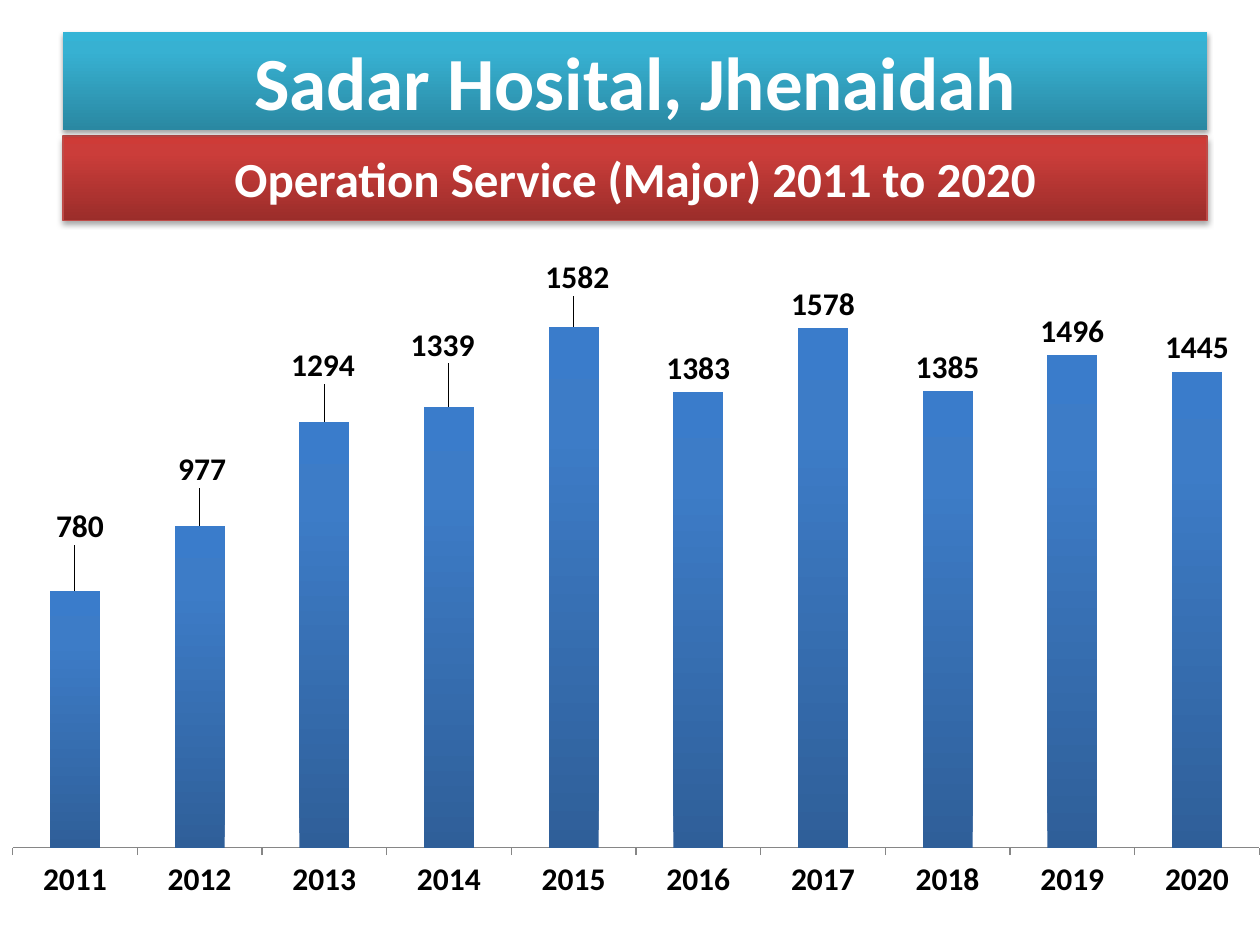
from dataclasses import dataclass

from lxml import etree
from pptx import Presentation
from pptx import util as u
from pptx.chart.data import CategoryChartData
from pptx.dml.color import RGBColor
from pptx.enum import chart as ch, shapes, text
from pptx.oxml import parse_xml
from pptx.oxml.ns import nsdecls, qn

FONT = "Calibri"
COLORS = {"white": "FFFFFF", "black": "000000", "axis": "868686", "red_edge": "BE4B48"}
GRADIENTS = {
    "teal": ("2A88A2", "37B1D2", "34B4D6"),
    "red": ("9B2D2A", "CB3D3A", "CE3B37"),
    "blue": ("2F5F99", "3D7CC7", "3A7CCB"),
}
STOPS = (0, 80, 100)
BANNER_LEFT, BANNER_WIDTH = 0.5, 9.08

OPERATIONS = {
    "2011": 780, "2012": 977, "2013": 1294, "2014": 1339, "2015": 1582,
    "2016": 1383, "2017": 1578, "2018": 1385, "2019": 1496, "2020": 1445,
}
# Label shifts as fractions of the chart size, for the first five years
LABEL_SHIFTS = ((0.004, -0.057), (0.002, -0.046), (-0.001, -0.045),
                (-0.005, -0.053), (0.003, -0.036))


@dataclass
class Banner:
    words: str
    top: float
    height: float
    size: float
    gradient: str
    edge: str | None = None


BANNERS = (
    Banner("Operation Service (Major) 2011 to 2020", 1.08, 0.67, 28, "red", "red_edge"),
    Banner("Sadar Hosital, Jhenaidah", 0.25, 0.78, 42.9, "teal"),
)


def rgb(name: str) -> RGBColor:
    return RGBColor.from_string(COLORS[name])


def format_font(font, *, size: float, color: str, bold: bool = True) -> None:
    font.name, font.size, font.bold = FONT, u.Pt(size), bold
    font.color.rgb = rgb(color)


def write_text(shape, words: str, **font_format) -> None:
    frame = shape.text_frame
    frame.word_wrap = True
    frame.vertical_anchor = text.MSO_ANCHOR.MIDDLE
    paragraph = frame.paragraphs[0]
    paragraph.alignment = text.PP_ALIGN.CENTER
    run = paragraph.add_run()
    run.text = words
    format_font(run.font, **font_format)


def fill_gradient(fill, element, name: str) -> None:
    """Fill from dark at the bottom to light at the top."""
    fill.gradient()
    fill.gradient_angle = 90
    stop_list = element.xpath(".//a:gsLst")[0]
    for stop in list(stop_list):
        stop_list.remove(stop)
    for position, color in zip(STOPS, GRADIENTS[name]):
        stop = etree.SubElement(stop_list, qn("a:gs"), pos=str(position * 1000))
        etree.SubElement(stop, qn("a:srgbClr"), val=color)


def add_shadow(shape) -> None:
    shape.shadow.inherit = False
    effects = shape._element.spPr.find(qn("a:effectLst"))
    effects.append(parse_xml(
        f'<a:outerShdw {nsdecls("a")} blurRad="{u.Pt(3.1)}" dist="{u.Pt(1.8)}" '
        f'dir="5400000" rotWithShape="0"><a:srgbClr val="{COLORS["black"]}">'
        '<a:alpha val="35000"/></a:srgbClr></a:outerShdw>'))


def add_banner(slide, banner: Banner) -> None:
    shape = slide.shapes.add_shape(
        shapes.MSO_SHAPE.RECTANGLE, u.Inches(BANNER_LEFT), u.Inches(banner.top),
        u.Inches(BANNER_WIDTH), u.Inches(banner.height))
    fill_gradient(shape.fill, shape._element, banner.gradient)
    if banner.edge:
        shape.line.color.rgb = rgb(banner.edge)
        shape.line.width = u.Pt(0.75)
    else:
        shape.line.fill.background()
    add_shadow(shape)
    write_text(shape, banner.words, size=banner.size, color="white")


def manual_layout(**values):
    """Build a chart layout element from child names and their values."""
    children = "".join(f'<c:{name} val="{value}"/>' for name, value in values.items())
    return parse_xml(f'<c:layout {nsdecls("c")}><c:manualLayout>{children}'
                     '</c:manualLayout></c:layout>')


def label_bars(series) -> None:
    labels = series.data_labels
    labels.show_value = True
    labels.position = ch.XL_LABEL_POSITION.OUTSIDE_END
    format_font(labels.font, size=18, color="black")
    for index, _ in enumerate(LABEL_SHIFTS):
        label = series.points[index].data_label
        label.position = ch.XL_LABEL_POSITION.OUTSIDE_END
        format_font(label.font, size=18, color="black")
    for element, (x, y) in zip(series._element.xpath(".//c:dLbl"), LABEL_SHIFTS):
        element.find(qn("c:idx")).addnext(manual_layout(x=x, y=y))


def add_operations_chart(slide) -> None:
    data = CategoryChartData()
    data.categories = list(OPERATIONS)
    data.add_series("Series 1", list(OPERATIONS.values()))
    chart = slide.shapes.add_chart(
        ch.XL_CHART_TYPE.COLUMN_CLUSTERED, u.Inches(0), u.Inches(1.83),
        u.Inches(10), u.Inches(5.67), data).chart
    chart.has_legend = False
    chart.has_title = False
    format_font(chart.font, size=18, color="black", bold=False)

    value_axis = chart.value_axis
    value_axis.minimum_scale, value_axis.maximum_scale = 0, 1800
    value_axis.has_major_gridlines = False
    value_axis.visible = False
    category_axis = chart.category_axis
    category_axis.major_tick_mark = ch.XL_TICK_MARK.OUTSIDE
    category_axis.format.line.color.rgb = rgb("axis")
    format_font(category_axis.tick_labels.font, size=18, color="black")

    plot = chart.plots[0]
    plot.gap_width = 150
    plot.vary_by_categories = False
    series = plot.series[0]
    series.invert_if_negative = False
    fill_gradient(series.format.fill, series._element, "blue")
    label_bars(series)

    plot_area = chart._chartSpace.xpath(".//c:plotArea")[0]
    for layout in plot_area.findall(qn("c:layout")):
        plot_area.remove(layout)
    plot_area.insert(0, manual_layout(
        layoutTarget="inner", xMode="edge", yMode="edge", x=0.01, y=0.034, w=0.99, h=0.83))


def main() -> None:
    presentation = Presentation()
    presentation.slide_width = u.Inches(10)
    presentation.slide_height = u.Inches(7.5)
    slide = presentation.slides.add_slide(presentation.slide_layouts[6])
    add_operations_chart(slide)
    for banner in BANNERS:
        add_banner(slide, banner)
    presentation.save("out.pptx")


if __name__ == "__main__":
    main()
